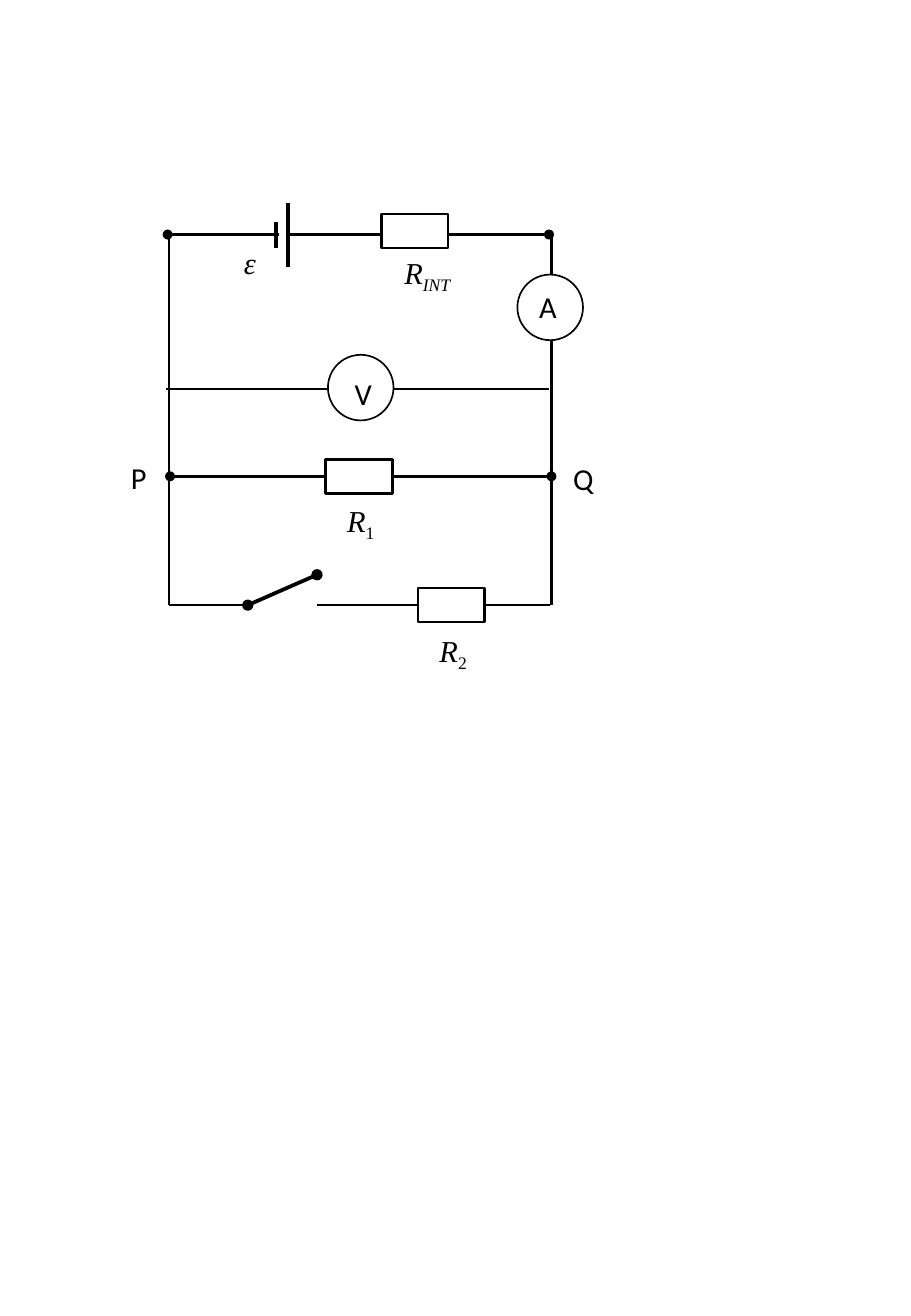
from lxml import etree
from pptx import Presentation
from pptx.dml.color import RGBColor
from pptx.enum.shapes import MSO_CONNECTOR, MSO_SHAPE
from pptx.enum.text import MSO_AUTO_SIZE
from pptx.oxml.ns import qn
from pptx.util import Inches, Pt

BLACK = RGBColor(0, 0, 0)
WHITE = RGBColor(255, 255, 255)
RECT = MSO_SHAPE.RECTANGLE
OVAL = MSO_SHAPE.OVAL
STRAIGHT = MSO_CONNECTOR.STRAIGHT
FIT = MSO_AUTO_SIZE.SHAPE_TO_FIT_TEXT
SERIF = "Times New Roman"
SANS = "Calibri"

prs = Presentation()
prs.slide_width = Inches(7.5)
prs.slide_height = Inches(10.83)
slide = prs.slides.add_slide(prs.slide_layouts[6])
shapes = slide.shapes


def add_wire(parent, x1, y1, x2, y2, width=1.5, dots=False):
    wire = parent.add_connector(
        STRAIGHT, Inches(x1), Inches(y1), Inches(x2), Inches(y2))
    wire.line.color.rgb = BLACK
    wire.line.width = Pt(width)
    props = wire._element.spPr
    if dots:
        for end in ("a:headEnd", "a:tailEnd"):
            etree.SubElement(props.find(qn("a:ln")), qn(end), type="oval")
    etree.SubElement(props, qn("a:effectLst"))


def add_part(parent, kind, x, y, w, h, color=BLACK, width=1.5):
    part = parent.add_shape(kind, Inches(x), Inches(y), Inches(w), Inches(h))
    part.shadow.inherit = False
    part.fill.solid()
    part.fill.fore_color.rgb = WHITE
    part.line.color.rgb = color
    part.line.width = Pt(width)


add_wire(shapes, 1.38, 1.93, 4.52, 1.93, dots=True)
add_wire(shapes, 1.37, 3.2, 4.52, 3.2)
add_wire(shapes, 1.39, 4.98, 4.53, 4.98)
for x in (1.39, 4.54):
    add_wire(shapes, x, 4.98, x, 1.92)
add_wire(shapes, 1.4, 3.92, 4.54, 3.92, dots=True)

cell = shapes.add_group_shape().shapes
add_wire(cell, 2.37, 2.2, 2.37, 1.67, 2.25)
add_wire(cell, 2.27, 2.04, 2.27, 1.83, 2.25)
add_part(cell, RECT, 2.3, 1.83, 0.05, 0.2, WHITE, 1)

for x, y in ((3.14, 1.76), (3.44, 4.84), (2.68, 3.78)):
    add_part(shapes, RECT, x, y, 0.55, 0.28)
for x, y in ((4.26, 2.26), (2.7, 2.92)):
    add_part(shapes, OVAL, x, y, 0.54, 0.54, width=1)

add_part(shapes, RECT, 2.05, 4.84, 0.55, 0.28, WHITE)
add_wire(shapes, 2.04, 4.98, 2.61, 4.73, 2.25, dots=True)

labels = (
    (1.91, 1.96, 0.31, "ε", "", SERIF),
    (3.23, 2.04, 0.62, "R", "INT", SERIF),
    (3.52, 5.15, 0.44, "R", "2", SERIF),
    (2.76, 4.08, 0.44, "R", "1", SERIF),
    (4.34, 2.32, 0.35, "A", "", SANS),
    (2.82, 3.04, 0.35, "V", "", SANS),
    (0.98, 3.73, 0.33, "P", "", SANS),
    (4.62, 3.74, 0.37, "Q", "", SANS),
)
for x, y, w, name, sub, font in labels:
    box = shapes.add_textbox(Inches(x), Inches(y), Inches(w), Inches(0.4))
    frame = box.text_frame
    frame.word_wrap = False
    frame.auto_size = FIT
    para = frame.paragraphs[0]
    para.font.name = font
    para.font.size = Pt(18)
    para.font.color.rgb = BLACK
    run = para.add_run()
    run.text = name
    run.font.italic = font == SERIF
    if sub:
        low = para.add_run()
        low.text = sub
        low.font.italic = sub.isalpha()
        low._r.get_or_add_rPr().set("baseline", "-25000")

prs.save("out.pptx")
